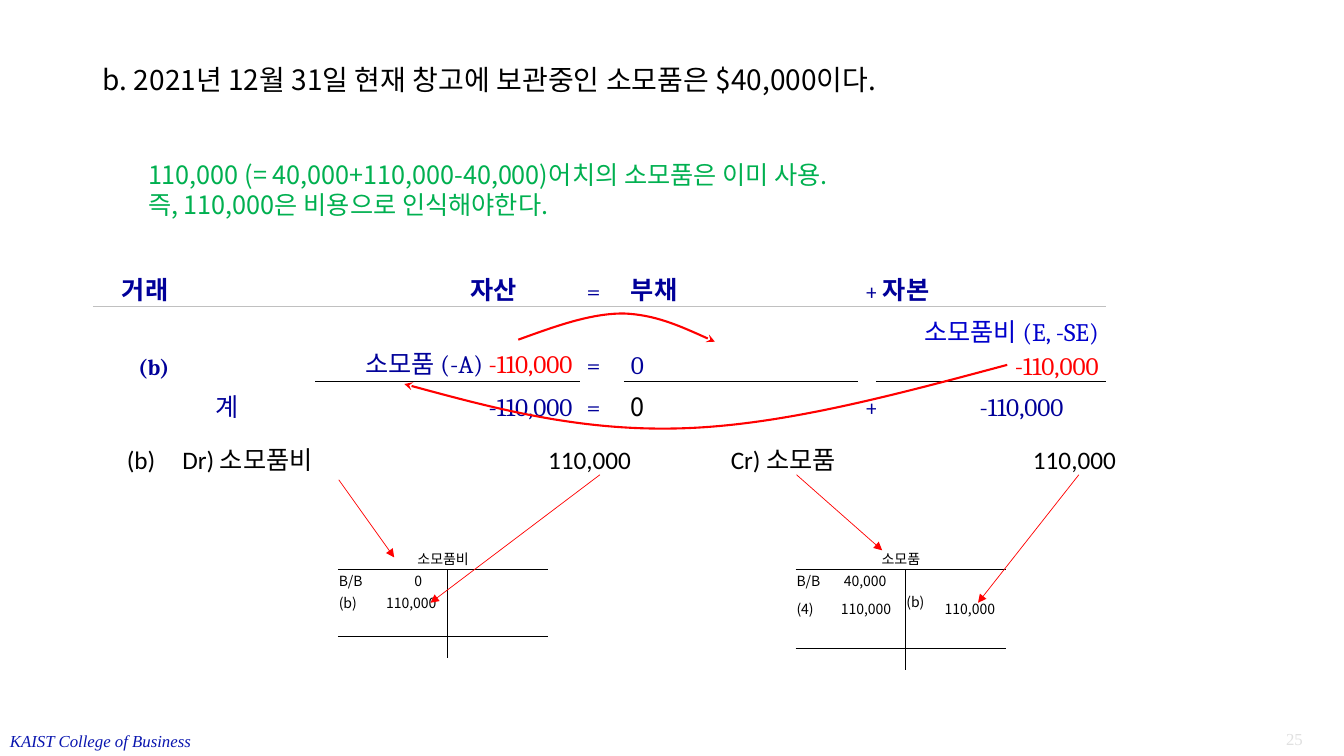
from dataclasses import dataclass
from lxml import etree
from pptx import Presentation, util as u
from pptx.dml.color import RGBColor
from pptx.enum import shapes, text
from pptx.oxml.ns import qn

LEFT, CENTER, RIGHT = text.PP_ALIGN.LEFT, text.PP_ALIGN.CENTER, text.PP_ALIGN.RIGHT


@dataclass(frozen=True)
class Theme:
    sans: str = "Noto Sans CJK KR"
    serif: str = "Cambria"
    entry: str = "Calibri"
    footer: str = "Times New Roman"
    title: int = 20
    body: int = 18
    label: int = 16
    small: int = 12
    ledger: int = 10
    black: str = "000000"
    white: str = "FFFFFF"
    navy: str = "000099"
    blue: str = "0000CC"
    red: str = "FF0000"
    green: str = "00B050"
    rule: str = "C0C0C0"
    footer_blue: str = "0915AF"
    faint: str = "E0E0E0"


T = Theme()


# Text
def format_run(run, font, size, color, bold=False, italic=False):
    run.font.size = u.Pt(size)
    run.font.bold, run.font.italic = bold, italic
    run.font.color.rgb = RGBColor.from_string(color)
    run.font.name = font
    etree.SubElement(run._r.get_or_add_rPr(), qn("a:ea"), typeface=T.sans)


def add_text(slide, box, lines, font, size, color, wrap=False, align=LEFT, italic=False):
    note = slide.shapes.add_textbox(*map(u.Inches, box))
    frame = note.text_frame
    frame.word_wrap = wrap
    frame.text = "\n".join(lines)
    for paragraph in frame.paragraphs:
        paragraph.alignment = align
        for run in paragraph.runs:
            format_run(run, font, size, color, italic=italic)
    return frame


def add_tabs(paragraph, stops):
    tabs = etree.SubElement(paragraph._p.get_or_add_pPr(), qn("a:tabLst"))
    for position, side in stops:
        etree.SubElement(tabs, qn("a:tab"), pos=str(u.Inches(position)), algn=side)


# Tables
def add_grid(slide, left, top, columns, rows, fill=None):
    frame = slide.shapes.add_table(len(rows), len(columns), u.Inches(left), u.Inches(top),
                                   u.Inches(sum(columns)), u.Inches(sum(rows)))
    grid = frame.table
    grid.first_row = grid.horz_banding = False
    grid._tbl.tblPr.find(qn("a:tableStyleId")).text = "{2D5ABB26-0587-4C30-8999-92F81FD0307C}"
    for column, width in zip(grid.columns, columns):
        column.width = u.Inches(width)
    for row, height in zip(grid.rows, rows):
        row.height = u.Inches(height)
    for cell in grid.iter_cells():
        cell.margin_left = cell.margin_right = cell.margin_top = cell.margin_bottom = 0
        if fill:
            cell.fill.solid()
            cell.fill.fore_color.rgb = RGBColor.from_string(fill)
        else:
            cell.fill.background()
        paragraph = cell.text_frame.paragraphs[0]
        etree.SubElement(paragraph._p, qn("a:endParaRPr"), sz=str(T.ledger * 100))
    return grid


def add_border(cell, side, color, width):
    properties = cell._tc.get_or_add_tcPr()
    line = etree.Element(qn("a:ln" + side), w=str(u.Pt(width)))
    solid = etree.SubElement(line, qn("a:solidFill"))
    etree.SubElement(solid, qn("a:srgbClr"), val=color)
    properties.insert(len(properties) - 1, line)


def fill_cell(cell, parts, font, size, align=LEFT, bold=False, margin=0.07, indent=None,
              anchor=text.MSO_ANCHOR.BOTTOM, spacing=None):
    cell.vertical_anchor = anchor
    cell.margin_left = u.Inches(margin if indent is None else indent)
    cell.margin_right = u.Inches(margin)
    paragraph = cell.text_frame.paragraphs[0]
    paragraph.alignment = align
    if spacing:
        paragraph.line_spacing = spacing
    for words, color in parts:
        run = paragraph.add_run()
        run.text = words
        format_run(run, font, size, color, bold)


def add_equation(slide):
    columns = [0.65, 0.16, 0.16, 0.1, 1.12, 0.91, 0.64, 0.32, 0.75, 0.44,
               2.32, 0.18, 2.28, 0.27, 0.16]
    grid = add_grid(slide, 0.92, 2.29, columns, [0.33, 0.42, 0.74, 0.42, 0.28], T.white)
    spans = [[(1, 2), (3, 6)], [(0, 4), (6, 8), (13, 14)],
             [(0, 1), (2, 4), (5, 8), (13, 14)], [(0, 1), (2, 3), (5, 8), (13, 14)],
             [(0, 1), (2, 4), (5, 8), (13, 14)]]
    for row, row_spans in enumerate(spans):
        for first, last in row_spans:
            grid.cell(row, first).merge(grid.cell(row, last))
    for column in range(13):
        add_border(grid.cell(1, column), "B", T.rule, 0.75)
    for column in (5, 6, 7, 8, 10, 12):
        add_border(grid.cell(2, column), "B", T.black, 0.75)

    def put(row, column, words, align=LEFT, color=T.navy, font=T.serif, size=T.body,
            bold=False, indent=None, amount=""):
        parts = [(words, color)] + ([(amount, T.red)] if amount else [])
        fill_cell(grid.cell(row, column), parts, font, size, align, bold,
                  indent=indent, spacing=1.15)

    # Headings
    put(1, 0, "거래", bold=True, indent=0.29)
    put(1, 6, "자산", CENTER, bold=True)
    put(1, 10, "부채", bold=True)
    put(1, 12, "자본", bold=True)
    # Transaction
    put(2, 0, "(b)", RIGHT, size=T.label, bold=True)
    put(2, 5, "소모품 (-A) ", RIGHT, amount="-110,000")
    put(2, 10, "0")
    put(2, 12, " 소모품비 (E, -SE) ", RIGHT, T.blue, amount="-110,000")
    # Totals
    put(3, 4, " 계")
    put(3, 5, "-110,000", RIGHT)
    put(3, 10, "0", color=T.black, font=T.sans)
    put(3, 12, "-110,000", indent=1.03)
    # Operators
    for row in (1, 2, 3):
        put(row, 9, "=")
    for row in (1, 3):
        put(row, 11, "+")
        grid.cell(row, 11).margin_right = 0


def add_t_account(slide, left, heading, entries, posting_height):
    grid = add_grid(slide, left, 5.43, [0.36, 0.73, 0.27, 0.73],
                    [0.22, 0.22, posting_height, 0.22, 0.22])
    grid.cell(0, 0).merge(grid.cell(0, 3))
    for row in range(1, 5):
        add_border(grid.cell(row, 1), "R", T.black, 0.5)
    for row in (0, 3):
        for column in range(4):
            add_border(grid.cell(row, column), "B", T.black, 0.5)
    middle = text.MSO_ANCHOR.MIDDLE
    fill_cell(grid.cell(0, 0), [(heading, T.black)], T.sans, T.ledger, CENTER,
              margin=0.01, anchor=middle)
    for row, column, words, indent in entries:
        fill_cell(grid.cell(row, column), [(words, T.black)], T.sans, T.ledger, margin=0.01,
                  indent=indent, anchor=text.MSO_ANCHOR.TOP if column == 2 else middle)


# Arrows
def style_arrow(arrow, width, head):
    arrow.line.color.rgb = RGBColor.from_string(T.red)
    arrow.line.width = u.Pt(width)
    etree.SubElement(arrow.line._get_or_add_ln(), qn("a:tailEnd"), type=head)


def add_curve(slide, *points):
    start, *controls = [(u.Inches(x), u.Inches(y)) for x, y in points]
    builder = slide.shapes.build_freeform(*start)
    builder.add_line_segments(controls, close=False)
    curve = builder.convert_to_shape()
    curve.shadow.inherit = False
    curve.fill.background()
    style_arrow(curve, 1.5, "stealth")
    # Turn each three points into one Bézier segment
    outline = curve._element.find(".//" + qn("a:path"))
    segments = outline.findall(qn("a:lnTo"))
    for first in range(0, len(segments), 3):
        bend = etree.SubElement(outline, qn("a:cubicBezTo"))
        for segment in segments[first:first + 3]:
            bend.append(segment[0])
            outline.remove(segment)


def add_arrow(slide, start, end):
    arrow = slide.shapes.add_connector(shapes.MSO_CONNECTOR.STRAIGHT,
                                       *map(u.Inches, start + end))
    etree.SubElement(arrow._element.spPr, qn("a:effectLst"))
    style_arrow(arrow, 0.5, "triangle")


def main():
    deck = Presentation()
    deck.slide_width, deck.slide_height = u.Inches(13.33), u.Inches(7.5)
    slide = deck.slides.add_slide(deck.slide_layouts[5])

    # Title
    title = slide.shapes.title
    title.left, title.top, title.width, title.height = map(u.Inches, (0.92, 0.4, 11.5, 0.81))
    title.text_frame.text = "b. 2021년 12월 31일 현재 창고에 보관중인 소모품은 $40,000이다."
    title.text_frame.vertical_anchor = text.MSO_ANCHOR.MIDDLE
    heading = title.text_frame.paragraphs[0]
    heading.alignment, heading.line_spacing = LEFT, 0.9
    format_run(heading.runs[0], T.sans, T.title, T.black)

    # Footer
    add_text(slide, (0, 7.2, 2.02, 0.3), ["KAIST College of Business"],
             T.footer, T.small, T.footer_blue, italic=True)
    add_text(slide, (12.02, 7.18, 1, 0.3), ["25"], T.footer, T.small, T.faint,
             wrap=True, align=RIGHT)

    # Accounting equation with its flows
    add_equation(slide)
    add_curve(slide, (5.14, 3.37), (5.5, 3.24), (5.85, 3.11), (6.18, 3.11),
              (6.5, 3.12), (6.8, 3.26), (7.09, 3.39))
    add_curve(slide, (9.99, 3.62), (8.87, 3.92), (7.76, 4.22), (6.76, 4.25),
              (5.76, 4.28), (4.89, 4.05), (4.01, 3.81))

    # Explanation and journal entry
    add_text(slide, (1.37, 1.53, 7.66, 0.71),
             ["110,000 (= 40,000+110,000-40,000)어치의 소모품은 이미 사용.",
              "즉, 110,000은 비용으로 인식해야한다."], T.sans, T.body, T.green)
    journal = add_text(slide, (1.16, 4.36, 10.7, 0.4),
                       ["(b)\tDr) 소모품비\t110,000\tCr) 소모품\t110,000"],
                       T.entry, T.body, T.black, wrap=True)
    add_tabs(journal.paragraphs[0], [(0.55, "l"), (5, "r"), (5.99, "l"), (9.81, "r")])

    # T-accounts and postings
    add_t_account(slide, 3.35, "소모품비", [
        (1, 0, "B/B", 0.01), (1, 1, "0", 0.4),
        (2, 0, "(b)", 0.01), (2, 1, "110,000", 0.12)], 0.22)
    add_t_account(slide, 7.89, "소모품", [
        (1, 0, "B/B", 0.01), (1, 1, "40,000", 0.12), (2, 0, "(4)", 0.01),
        (2, 1, "110,000", 0.09), (2, 2, "(b)", 0.01), (2, 3, "110,000", 0.12)], 0.34)
    for start, end in [((3.36, 4.76), (3.91, 5.53)), ((5.95, 4.71), (4.27, 5.98)),
                       ((7.9, 4.71), (8.75, 5.46)), ((10.7, 4.71), (9.7, 5.98))]:
        add_arrow(slide, start, end)

    deck.save("out.pptx")


if __name__ == "__main__":
    main()
